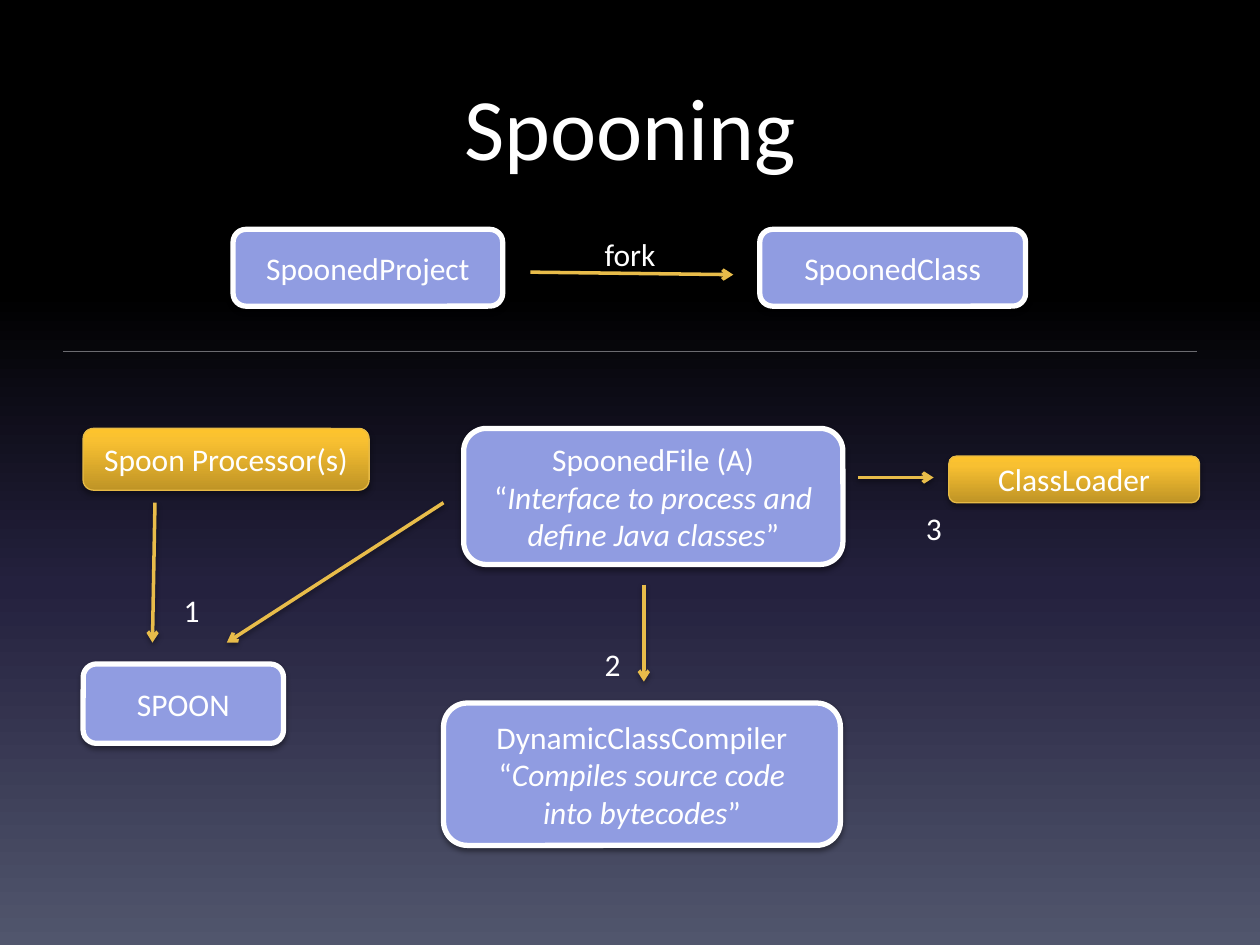
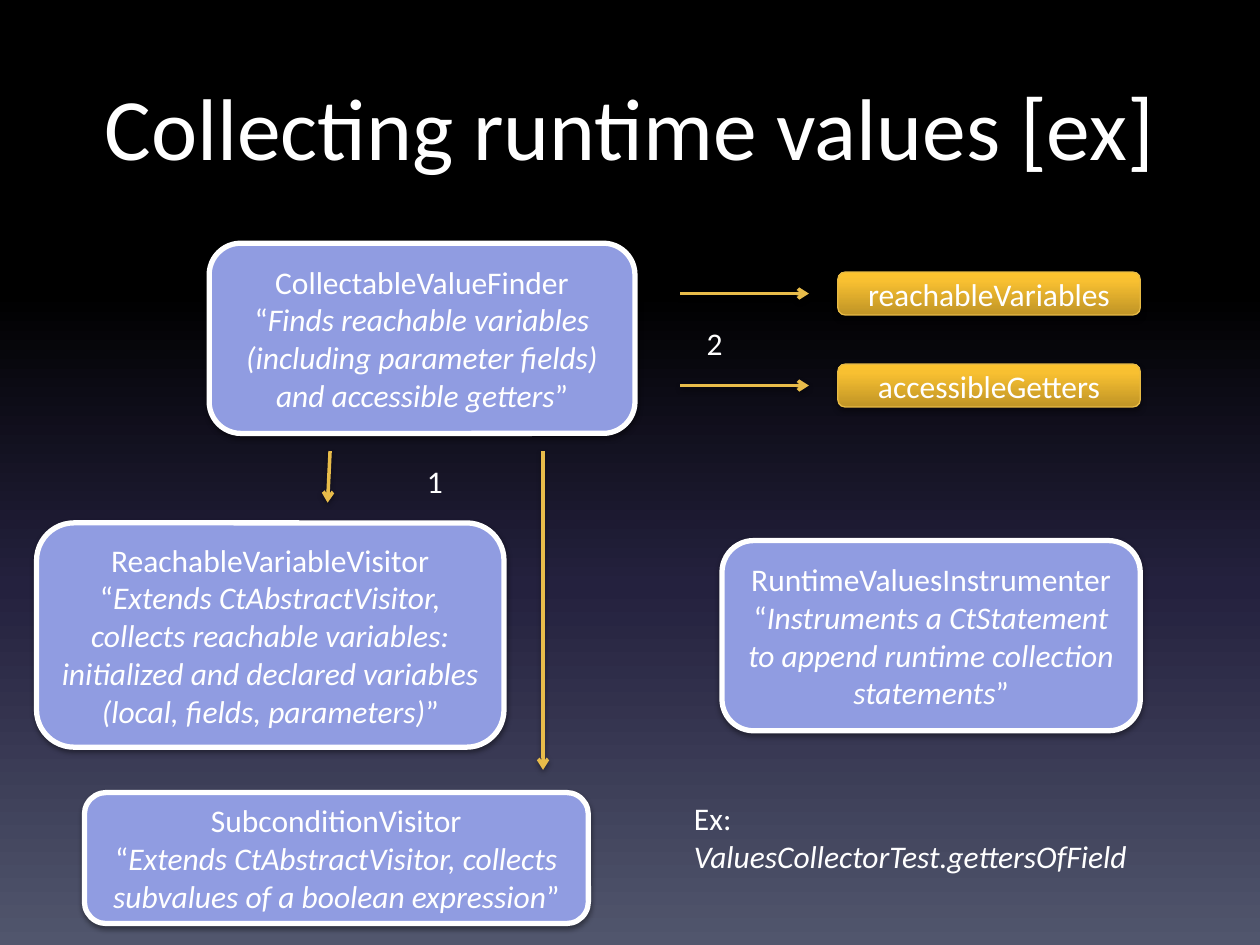
from dataclasses import dataclass

from lxml import etree
from pptx import Presentation
from pptx import util as u
from pptx.dml.color import RGBColor
from pptx.enum import shapes, text
from pptx.oxml import ns

PX = 9144  # EMU in one px, at 100 px to the inch


@dataclass(frozen=True)
class Theme:
    font: str = "Calibri"
    white: str = "FFFFFF"
    node: str = "909CE1"
    arrow: str = "E8BC4A"
    tag_edge: str = "E7BA45"
    divider: str = "6B6B70"
    tag: tuple = ((0, "BF9426"), (80, "F8C031"), (100, "FDC32D"))
    backdrop: tuple = ((0, "000000"), (31, "000000"), (62, "24213E"), (100, "51566D"))
    title_size: int = 50
    body_size: int = 18
    node_line: float = 3
    arrow_line: float = 2
    thin_line: float = 0.75


THEME = Theme()


def px(*values):
    return [u.Emu(v * PX) for v in values]


def set_all(obj, formats):
    for name, value in formats.items():
        setattr(obj, name, value)


def sub(parent, tag, **attrs):
    return etree.SubElement(parent, ns.qn(tag), {k: str(v) for k, v in attrs.items()})


def set_gradient(owner, fill, stops, angle):
    fill.gradient()
    fill.gradient_angle = angle
    gs_list = next(owner.iter(ns.qn("a:gsLst")))
    for gs in list(gs_list):
        gs_list.remove(gs)
    for pos, color in stops:
        sub(sub(gs_list, "a:gs", pos=pos * 1000), "a:srgbClr", val=color)


def set_line(line, color, width):
    line.color.rgb = RGBColor.from_string(color)
    line.width = u.Pt(width)


def cast_shadow(effects, alpha, dist):
    shadow = sub(effects, "a:outerShdw", blurRad=u.Pt(3.1), dist=u.Pt(dist),
                 dir=5400000, rotWithShape=0)
    sub(sub(shadow, "a:srgbClr", val="000000"), "a:alpha", val=alpha * 1000)


def add_run(p, words, size=THEME.body_size, italic=False):
    r = p.add_run()
    r.text = words
    set_all(r.font, dict(name=THEME.font, size=u.Pt(size), italic=italic))
    r.font.color.rgb = RGBColor.from_string(THEME.white)


@dataclass
class Region:
    """A part of a slide; all places are measured from its left top corner."""
    slide: object
    left: int
    top: int

    def place(self, x, y):
        return px(self.left + x, self.top + y)

    def rounded(self, x, y, w, h, name):
        sp = self.slide.shapes.add_shape(
            shapes.MSO_SHAPE.ROUNDED_RECTANGLE, *self.place(x, y), *px(w, h))
        tf = sp.text_frame
        set_all(tf, dict(word_wrap=True, vertical_anchor=text.MSO_ANCHOR.MIDDLE))
        tf.paragraphs[0].alignment = text.PP_ALIGN.CENTER
        add_run(tf.paragraphs[0], name)
        return sp

    def finish(self, sp, edge, width, alpha, dist):
        set_line(sp.line, edge, width)
        sp.shadow.inherit = False
        cast_shadow(sp.element.spPr.find(ns.qn("a:effectLst")), alpha, dist)

    def node(self, x, y, w, h, name, *quote):
        """A class box: its name, then the quoted purpose, one paragraph an item."""
        sp = self.rounded(x, y, w, h, name)
        for i, words in enumerate(quote):
            p = sp.text_frame.add_paragraph()
            p.alignment = text.PP_ALIGN.CENTER
            if i == 0:
                add_run(p, "“")
            add_run(p, words, italic=True)
            if i == len(quote) - 1:
                add_run(p, "”")
        sp.fill.solid()
        sp.fill.fore_color.rgb = RGBColor.from_string(THEME.node)
        self.finish(sp, THEME.white, THEME.node_line, 38, 1.6)

    def tag(self, x, y, w, h, name):
        """A golden box for an input or an output."""
        sp = self.rounded(x, y, w, h, name)
        set_gradient(sp.element, sp.fill, THEME.tag, 90)
        self.finish(sp, THEME.tag_edge, THEME.thin_line, 35, 1.8)

    def line(self, x1, y1, x2, y2, color, width):
        c = self.slide.shapes.add_connector(
            shapes.MSO_CONNECTOR.STRAIGHT, *self.place(x1, y1), *self.place(x2, y2))
        set_line(c.line, color, width)
        return c, sub(c.element.spPr, "a:effectLst")

    def arrow(self, x1, y1, x2, y2):
        c, effects = self.line(x1, y1, x2, y2, THEME.arrow, THEME.arrow_line)
        sub(c.element.spPr.find(ns.qn("a:ln")), "a:tailEnd", type="arrow")
        cast_shadow(effects, 38, 1.6)

    def label(self, x, y, w, h, words, italic_words=None):
        tf = self.slide.shapes.add_textbox(*self.place(x, y), *px(w, h)).text_frame
        set_all(tf, dict(word_wrap=False, auto_size=text.MSO_AUTO_SIZE.SHAPE_TO_FIT_TEXT))
        add_run(tf.paragraphs[0], words)
        if italic_words:
            add_run(tf.add_paragraph(), italic_words, italic=True)


def new_slide(prs, title):
    s = prs.slides.add_slide(prs.slide_layouts[6])
    set_gradient(s.element, s.background.fill, THEME.backdrop, 270)
    tf = s.shapes.add_textbox(*px(50, 50, 900, 125)).text_frame
    set_all(tf, dict(word_wrap=True, margin_top=px(8)[0]))
    tf.paragraphs[0].alignment = text.PP_ALIGN.CENTER
    add_run(tf.paragraphs[0], title, THEME.title_size)
    return s


def fork_row(area):
    area.node(0, 0, 214, 61, "SpoonedProject")
    area.node(418, 0, 211, 61, "SpoonedClass")
    area.arrow(236, 34, 397, 36)
    area.label(285, 0, 62, 40, "fork")


def processing_steps(area):
    area.node(302, 0, 301, 108, "SpoonedFile (A)",
              "Interface to process and", "define Java classes")
    area.node(0, 187, 159, 63, "SPOON")
    area.node(286, 218, 315, 113, "DynamicClassCompiler",
              "Compiles source code", "into bytecodes")
    area.tag(0, 0, 227, 49, "Spoon Processor(s)")
    area.tag(687, 22, 199, 37, "ClassLoader")
    for ends in ((57, 59, 55, 170), (286, 59, 114, 170),
                 (445, 124, 445, 201), (615, 39, 675, 39)):
        area.arrow(*ends)
    for number, (x, y) in enumerate(((70, 124), (404, 167), (659, 59)), 1):
        area.label(x, y, 32, 40, str(number))


def value_finder(area):
    area.node(0, 0, 338, 151, "CollectableValueFinder",
              "Finds reachable variables (including parameter fields) "
              "and accessible getters")
    for i, name in enumerate(("reachableVariables", "accessibleGetters")):
        y = 23 + 73 * i
        area.arrow(374, y + 17, 476, y + 17)
        area.tag(499, y, 240, 34, name)
    area.label(385, 59, 33, 40, "2")


def visitors(area):
    area.arrow(233, 0, 231, 41)
    area.arrow(402, 0, 402, 253)
    area.label(300, 4, 32, 40, "1")
    area.node(0, 57, 371, 178, "ReachableVariableVisitor",
              "Extends CtAbstractVisitor, collects reachable variables: "
              "initialized and declared variables (local, fields, parameters)")
    area.node(38, 271, 400, 104, "SubconditionVisitor",
              "Extends CtAbstractVisitor, collects subvalues of a boolean expression")


def instrumenter(area):
    area.node(32, 0, 332, 151, "RuntimeValuesInstrumenter",
              "Instruments a CtStatement to append runtime collection statements")
    area.label(0, 200, 376, 71, "Ex:", "ValuesCollectorTest.gettersOfField")


def main():
    prs = Presentation()
    prs.slide_width, prs.slide_height = px(1000, 750)

    s = new_slide(prs, "Spooning")
    fork_row(Region(s, 185, 182))
    Region(s, 50, 279).line(0, 0, 900, 0, THEME.divider, THEME.thin_line)
    processing_steps(Region(s, 66, 340))

    s = new_slide(prs, "Collecting runtime values [ex]")
    value_finder(Region(s, 166, 193))
    visitors(Region(s, 29, 358))
    instrumenter(Region(s, 541, 429))

    prs.save("out.pptx")


if __name__ == "__main__":
    main()
